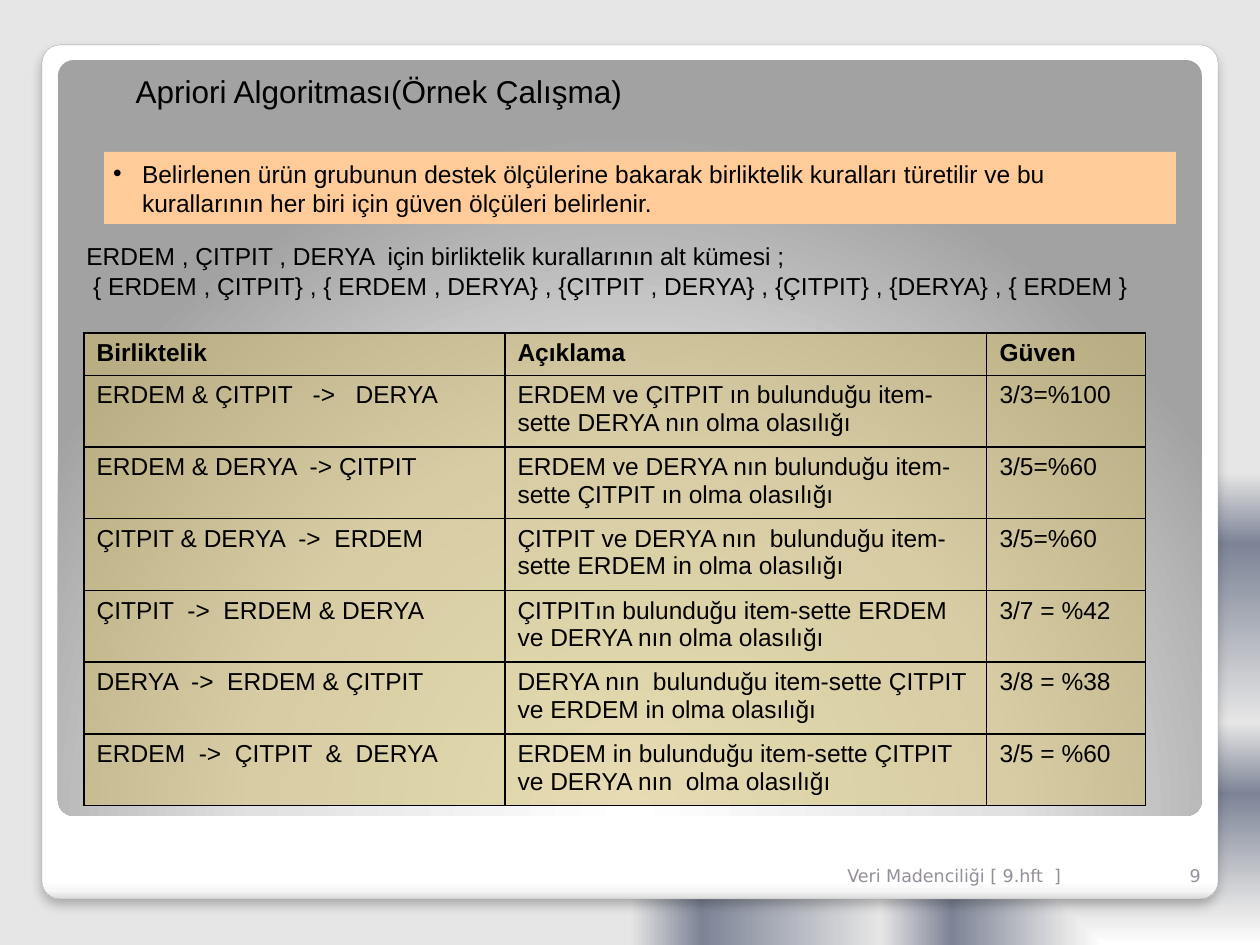
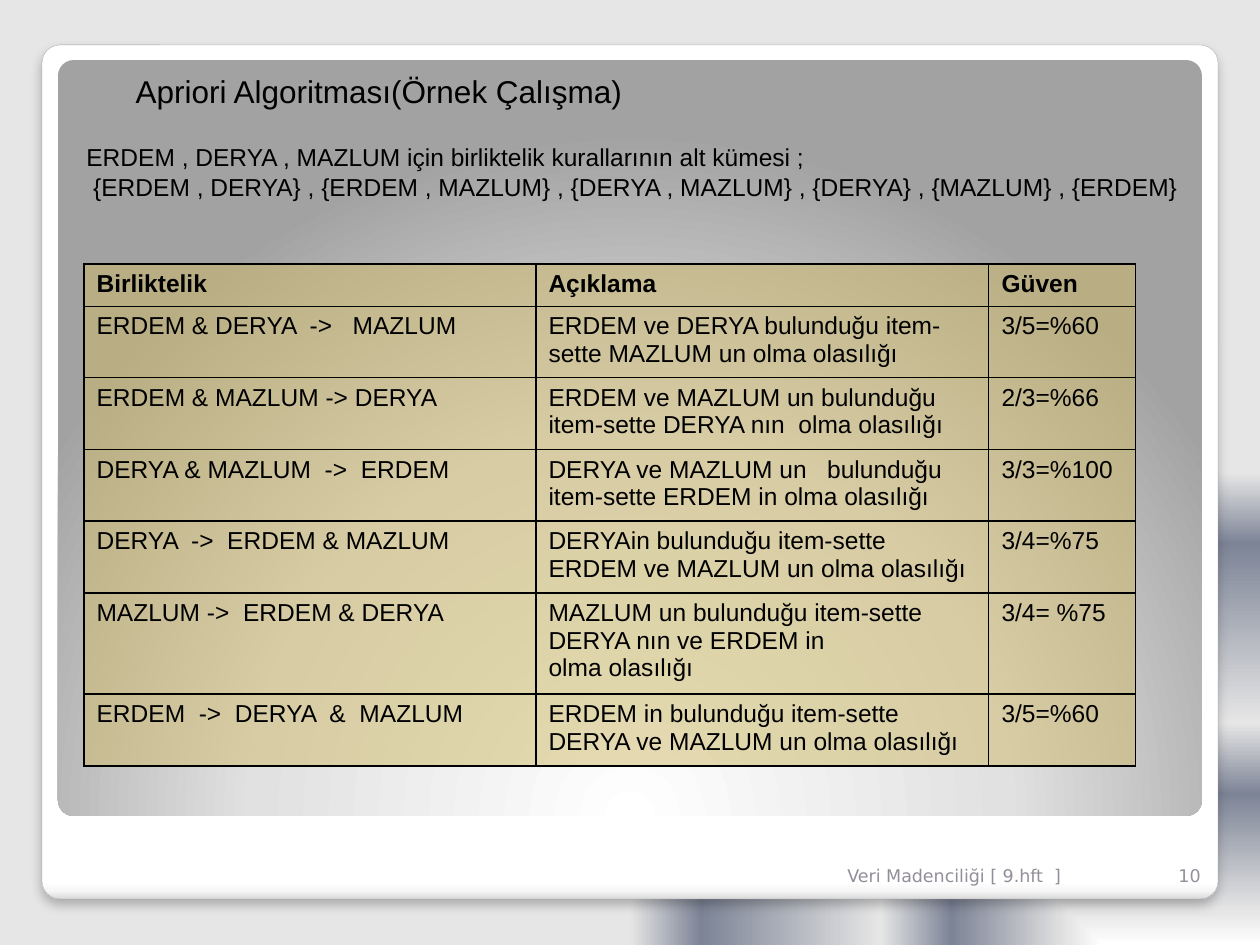
from dataclasses import dataclass
from typing import Optional

from lxml import etree
from pptx import Presentation
from pptx import util as u
from pptx.dml.color import RGBColor
from pptx.enum import shapes, text
from pptx.oxml import parse_xml
from pptx.oxml.ns import nsdecls, qn

BLACK = RGBColor(0x00, 0x00, 0x00)
PEACH = RGBColor(0xFF, 0xCC, 0x99)
GOLD = RGBColor(0xCE, 0xB9, 0x66)
EDGE_GREY = RGBColor(0xA4, 0xA4, 0xA4)
FOOTER_GREY = RGBColor(0x93, 0x8E, 0x99)
NUMBER_GREY = RGBColor(0x95, 0x90, 0x9B)

BODY_FONT = "Arial"
FOOTER_FONT = "DejaVu Sans"
PX_PER_INCH = 126
PANEL_CORNER = 0.021
HEADERS = ("Birliktelik", "Açıklama", "Güven")


@dataclass(frozen=True)
class Box:
    left: int
    top: int
    width: int
    height: int


@dataclass(frozen=True)
class Panel:
    box: Box
    stops: tuple
    direction: str
    outlined: bool = False


@dataclass(frozen=True)
class RuleSlide:
    number: int
    subsets: str
    subsets_box: Box
    table_left: int
    table_top: int
    column_widths: tuple
    row_heights: tuple
    rules: tuple
    bullet: Optional[str] = None


TITLE = "Apriori Algoritması(Örnek Çalışma)"
FOOTER = "Veri Madenciliği [ 9.hft  ]"
TITLE_BOX = Box(123, 66, 674, 50)
BULLET_BOX = Box(104, 152, 1072, 72)
FOOTER_BOX = Box(835, 842, 315, 50)
NUMBER_BOX = Box(1150, 842, 63, 50)
BULLET_INDENT = 29

BACKGROUND_STOPS = ((0, "FFFFFF"), (7, "E6E6E6"), (32, "7D8496"), (47, "E6E6E6"),
                    (85, "7D8496"), (100, "E6E6E6"))
BACKGROUND_DIRECTION = '<a:path path="rect"><a:fillToRect l="100000" t="100000"/></a:path>'

PANELS = (
    Panel(Box(42, 45, 1176, 854),
          ((0, "FFFFFF"), (98, "FFFFFF"), (99, "F7F7F7"), (100, "DADADA")),
          '<a:lin ang="5400000" scaled="0"/>', outlined=True),
    Panel(Box(58, 60, 1144, 756),
          ((0, "FFFFFF"), (55, "E1E1E1"), (100, "A2A2A2")),
          '<a:path path="circle">'
          '<a:fillToRect l="50000" t="175000" r="50000" b="-75000"/></a:path>'),
)

RULE_SLIDES = (
    RuleSlide(
        number=9,
        bullet="Belirlenen ürün grubunun destek ölçülerine bakarak birliktelik kuralları "
               "türetilir ve bu kurallarının her biri için güven ölçüleri belirlenir.",
        subsets="ERDEM , ÇITPIT , DERYA  için birliktelik kurallarının alt kümesi ;\n"
                " { ERDEM , ÇITPIT} , { ERDEM , DERYA} , {ÇITPIT , DERYA} , "
                "{ÇITPIT} , {DERYA} , { ERDEM }",
        subsets_box=Box(74, 234, 1071, 72),
        table_left=84,
        table_top=333,
        column_widths=(421, 482, 159),
        row_heights=(42, 72, 71, 72, 71, 72, 71),
        rules=(
            ("ERDEM & ÇITPIT   ->   DERYA",
             "ERDEM ve ÇITPIT ın bulunduğu item-sette DERYA nın olma olasılığı", "3/3=%100"),
            ("ERDEM & DERYA  -> ÇITPIT",
             "ERDEM ve DERYA nın bulunduğu item-sette ÇITPIT ın olma olasılığı", "3/5=%60"),
            ("ÇITPIT & DERYA  ->  ERDEM",
             "ÇITPIT ve DERYA nın  bulunduğu item-sette ERDEM in olma olasılığı", "3/5=%60"),
            ("ÇITPIT  ->  ERDEM & DERYA",
             "ÇITPITın bulunduğu item-sette ERDEM ve DERYA nın olma olasılığı", "3/7 = %42"),
            ("DERYA  ->  ERDEM & ÇITPIT",
             "DERYA nın  bulunduğu item-sette ÇITPIT ve ERDEM in olma olasılığı", "3/8 = %38"),
            ("ERDEM  ->  ÇITPIT  &  DERYA",
             "ERDEM in bulunduğu item-sette ÇITPIT ve DERYA nın  olma olasılığı", "3/5 = %60"),
        ),
    ),
    RuleSlide(
        number=10,
        subsets="ERDEM , DERYA , MAZLUM için birliktelik kurallarının alt kümesi ;\n"
                " {ERDEM , DERYA} , {ERDEM , MAZLUM} , {DERYA , MAZLUM} , "
                "{DERYA} , {MAZLUM} , {ERDEM}",
        subsets_box=Box(74, 135, 1121, 72),
        table_left=84,
        table_top=264,
        column_widths=(452, 453, 147),
        row_heights=(42, 71, 72, 71, 72, 101, 72),
        rules=(
            ("ERDEM & DERYA  ->   MAZLUM",
             "ERDEM ve DERYA bulunduğu item-sette MAZLUM un olma olasılığı", "3/5=%60"),
            ("ERDEM & MAZLUM -> DERYA",
             "ERDEM ve MAZLUM un bulunduğu item-sette DERYA nın  olma olasılığı", "2/3=%66"),
            ("DERYA & MAZLUM  ->  ERDEM",
             "DERYA ve MAZLUM un   bulunduğu item-sette ERDEM in olma olasılığı", "3/3=%100"),
            ("DERYA  ->  ERDEM & MAZLUM",
             "DERYAin bulunduğu item-sette ERDEM ve MAZLUM un olma olasılığı", "3/4=%75"),
            ("MAZLUM ->  ERDEM & DERYA",
             "MAZLUM un bulunduğu item-sette DERYA nın ve ERDEM in\nolma olasılığı",
             "3/4= %75"),
            ("ERDEM  ->  DERYA  &  MAZLUM",
             "ERDEM in bulunduğu item-sette DERYA ve MAZLUM un olma olasılığı", "3/5=%60"),
        ),
    ),
)


def px(length: int) -> int:
    return u.Emu(length * 914400 // PX_PER_INCH)


def edges(box: Box) -> tuple:
    return px(box.left), px(box.top), px(box.width), px(box.height)


def place(shape, box: Box) -> None:
    shape.left, shape.top, shape.width, shape.height = edges(box)


def write(frame, content: str, *, size: int = 14, color: RGBColor = BLACK,
          font: str = BODY_FONT, bold: bool = False, align=text.PP_ALIGN.LEFT,
          anchor=None, spacing: float = 1.0, bullet: bool = False) -> None:
    if anchor is not None:
        frame.vertical_anchor = anchor
    for index, line in enumerate(content.split("\n")):
        paragraph = frame.add_paragraph() if index else frame.paragraphs[0]
        paragraph.alignment = align
        paragraph.line_spacing = spacing
        paragraph.space_before = u.Pt(0)
        if bullet:
            properties = paragraph._p.get_or_add_pPr()
            properties.set("marL", str(px(BULLET_INDENT)))
            properties.set("indent", str(-px(BULLET_INDENT)))
            etree.SubElement(properties, qn("a:buChar")).set("char", "•")
        run = paragraph.add_run()
        run.text = line
        run.font.name = font
        run.font.size = u.Pt(size)
        run.font.bold = bold
        run.font.color.rgb = color


def add_label(slide, box: Box, content: str, *, wrap: bool = True, **style) -> None:
    frame = slide.shapes.add_textbox(*edges(box)).text_frame
    frame.word_wrap = wrap
    write(frame, content, **style)


def set_gradient(fill, properties, stops: tuple, direction: str) -> None:
    fill.background()
    stop_xml = "".join(f'<a:gs pos="{position * 1000}"><a:srgbClr val="{color}"/></a:gs>'
                       for position, color in stops)
    gradient = parse_xml(f'<a:gradFill {nsdecls("a")} rotWithShape="1">'
                         f'<a:gsLst>{stop_xml}</a:gsLst>{direction}</a:gradFill>')
    properties.replace(properties.find(qn("a:noFill")), gradient)


def add_panel(slide, panel: Panel):
    shape = slide.shapes.add_shape(shapes.MSO_SHAPE.ROUNDED_RECTANGLE, *edges(panel.box))
    shape.adjustments[0] = PANEL_CORNER
    properties = shape.element.spPr
    set_gradient(shape.fill, properties, panel.stops, panel.direction)
    shape.shadow.inherit = False
    if panel.outlined:
        shape.line.color.rgb = EDGE_GREY
        shape.line.width = u.Pt(0.16)
        properties.find(qn("a:effectLst")).append(parse_xml(
            f'<a:outerShdw {nsdecls("a")} blurRad="{u.Pt(6)}" dist="{u.Pt(4)}" dir="5400000" '
            'algn="t" rotWithShape="0"><a:srgbClr val="000000"><a:alpha val="25000"/>'
            '</a:srgbClr></a:outerShdw>'))
    else:
        shape.line.fill.background()
    return shape


def decorate_master(master, slide) -> None:
    fill = master.background.fill
    set_gradient(fill, master.element.cSld.bg.bgPr, BACKGROUND_STOPS, BACKGROUND_DIRECTION)
    for index, panel in enumerate(PANELS):
        element = add_panel(slide, panel).element
        element.nvSpPr.cNvPr.set("id", str(20 + index))
        master.shapes.element.insert(2 + index, element)


def style_cells(table_element) -> None:
    for properties in table_element.iter(qn("a:tcPr")):
        etree.SubElement(properties.find(".//" + qn("a:srgbClr")), qn("a:alpha")).set("val", "50000")
        for index, side in enumerate(("lnL", "lnR", "lnT", "lnB")):
            properties.insert(index, parse_xml(
                f'<a:{side} {nsdecls("a")} w="{u.Pt(0.75)}"><a:solidFill>'
                f'<a:srgbClr val="{BLACK}"/></a:solidFill></a:{side}>'))


def add_rule_table(slide, content: RuleSlide) -> None:
    rows = (HEADERS,) + content.rules
    box = Box(content.table_left, content.table_top,
              sum(content.column_widths), sum(content.row_heights))
    graphic = slide.shapes.add_table(len(rows), len(HEADERS), *edges(box))
    table = graphic.table
    table.horz_banding = False
    for column, width in zip(table.columns, content.column_widths):
        column.width = px(width)
    for row_index, (values, height) in enumerate(zip(rows, content.row_heights)):
        table.rows[row_index].height = px(height)
        for cell, value in zip(table.rows[row_index].cells, values):
            cell.fill.solid()
            cell.fill.fore_color.rgb = GOLD
            write(cell.text_frame, value, bold=row_index == 0)
    style_cells(graphic.element)


def add_bullet(slide, content: str) -> None:
    body = slide.placeholders[1]
    place(body, BULLET_BOX)
    body.fill.solid()
    body.fill.fore_color.rgb = PEACH
    frame = body.text_frame
    frame.auto_size = text.MSO_AUTO_SIZE.NONE
    frame.margin_left = px(9)
    write(frame, content, anchor=text.MSO_ANCHOR.MIDDLE, bullet=True)


def add_rule_slide(presentation, content: RuleSlide):
    layout = presentation.slide_layouts[1 if content.bullet else 5]
    slide = presentation.slides.add_slide(layout)
    title = slide.shapes.title
    place(title, TITLE_BOX)
    title.text_frame.auto_size = text.MSO_AUTO_SIZE.NONE
    write(title.text_frame, TITLE, size=18, anchor=text.MSO_ANCHOR.TOP)
    if content.bullet:
        add_bullet(slide, content.bullet)
    add_label(slide, content.subsets_box, content.subsets, wrap=False,
              anchor=text.MSO_ANCHOR.MIDDLE, spacing=1.05)
    add_rule_table(slide, content)
    add_label(slide, FOOTER_BOX, FOOTER, size=10, color=FOOTER_GREY, font=FOOTER_FONT,
              anchor=text.MSO_ANCHOR.BOTTOM)
    add_label(slide, NUMBER_BOX, str(content.number), size=10, color=NUMBER_GREY,
              font=FOOTER_FONT, align=text.PP_ALIGN.RIGHT, anchor=text.MSO_ANCHOR.BOTTOM)
    return slide


def main() -> None:
    presentation = Presentation()
    presentation.slide_width, presentation.slide_height = px(1260), px(945)
    slides = [add_rule_slide(presentation, content) for content in RULE_SLIDES]
    decorate_master(presentation.slide_master, slides[0])
    presentation.save("out.pptx")


if __name__ == "__main__":
    main()
